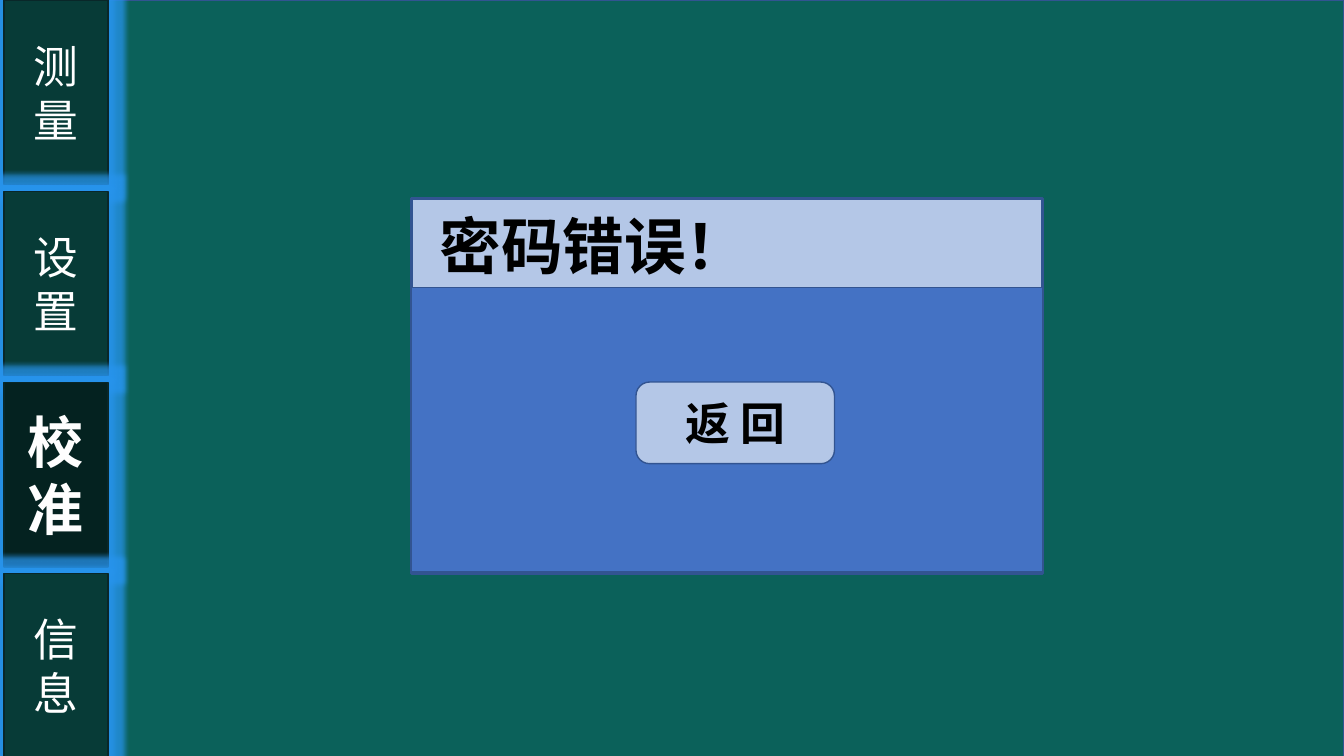
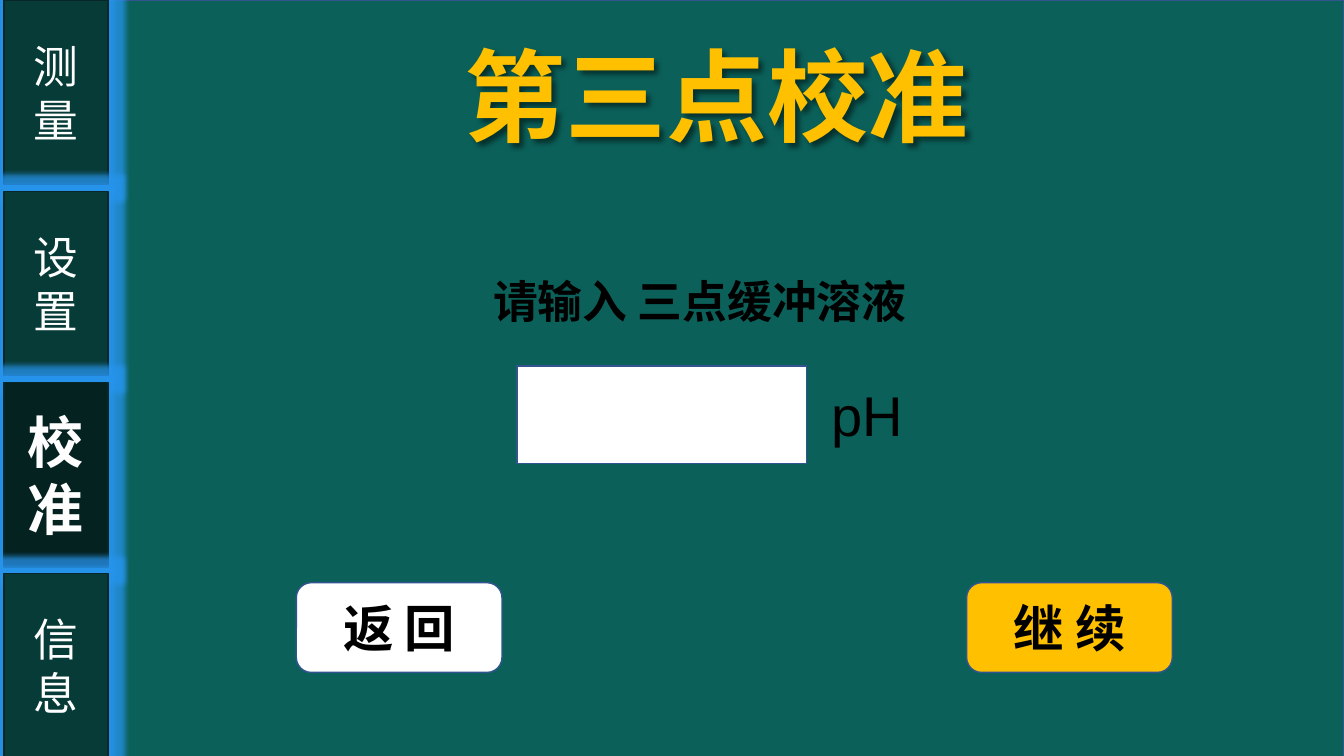
from dataclasses import dataclass
from typing import NamedTuple

from lxml import etree
from pptx import Presentation
from pptx.dml.color import RGBColor
from pptx.enum.shapes import MSO_SHAPE
from pptx.enum.text import MSO_ANCHOR, MSO_AUTO_SIZE, PP_ALIGN
from pptx.oxml.ns import qn
from pptx.shapes.autoshape import Shape
from pptx.slide import Slide
from pptx.util import Pt

RECTANGLE = MSO_SHAPE.RECTANGLE
ROUNDED = MSO_SHAPE.ROUNDED_RECTANGLE
MIDDLE = MSO_ANCHOR.MIDDLE
NO_AUTOFIT = MSO_AUTO_SIZE.NONE
LEFT = PP_ALIGN.LEFT
CENTER = PP_ALIGN.CENTER
TITLE_ONLY = 5


@dataclass(frozen=True)
class Theme:
    """Colours, fonts and type sizes shared by the slides."""

    page: str = "0B615A"
    border: str = "325491"
    tab: str = "073B37"
    tab_active: str = "042220"
    tab_border: str = "092729"
    glow: str = "2895EE"
    pale: str = "B4C7E7"
    blue: str = "4472C4"
    gold: str = "FFC000"
    white: str = "FFFFFF"
    active_text: str = "FEFEFE"
    black: str = "000000"
    heading_font: str = "Noto Sans CJK SC"
    tab_font: str = "Calibri"
    unit_font: str = "Arial"
    body_size: float = 32
    button_size: float = 36
    large_size: float = 40
    alert_size: float = 44
    title_size: float = 72


THEME = Theme()


class Box(NamedTuple):
    """Left, top, width and height in points."""

    left: float
    top: float
    width: float
    height: float


class Tab(NamedTuple):
    """One entry of the side menu."""

    label: str
    active: bool = False


class Button(NamedTuple):
    """A rounded button with its label."""

    label: str
    box: Box
    fill: str
    size: float


TABS = (Tab("测\n量"), Tab("设置"), Tab("校\n准", active=True), Tab("信\n息"))
TAB_BOX = Box(2.9, 0, 74.2, 131.8)
TAB_PITCH = 136.6
PAGE_BOX = Box(0, 0, 960, 541.4)


def add_effect(parent: etree.ElementBase, kind: str, color: str, alpha: int,
               **attributes: str) -> None:
    """Append a coloured, translucent effect to an effect list."""
    effect = etree.SubElement(parent, qn(f"a:{kind}"), attributes)
    tint = etree.SubElement(effect, qn("a:srgbClr"), val=color)
    etree.SubElement(tint, qn("a:alpha"), val=str(alpha * 1000))


def add_shadow(parent: etree.ElementBase, color: str, blur: float,
               distance: float, alpha: int) -> None:
    """Append a shadow that falls to the lower right."""
    add_effect(parent, "outerShdw", color, alpha, blurRad=str(Pt(blur)),
               dist=str(Pt(distance)), dir="2700000", algn="tl")


def put_text(shape: Shape, text: str, *, size: float = THEME.body_size,
             font: str = THEME.heading_font, color: str = THEME.black,
             bold: bool = True, align: PP_ALIGN = CENTER) -> None:
    """Write one paragraph per line of text in the given format."""
    frame = shape.text_frame
    frame.word_wrap = True
    frame.auto_size = NO_AUTOFIT
    frame.vertical_anchor = MIDDLE
    for index, line in enumerate(text.split("\n")):
        paragraph = frame.add_paragraph() if index else frame.paragraphs[0]
        paragraph.alignment = align
        run = paragraph.add_run()
        run.text = line
        run.font.size = Pt(size)
        run.font.bold = bold
        run.font.name = font
        run.font.color.rgb = RGBColor.from_string(color)
        latin = run.font._element.find(qn("a:latin"))
        latin.addnext(latin.makeelement(qn("a:ea"), {"typeface": font}))


def place(shape: Shape, box: Box) -> None:
    """Move and size a shape."""
    shape.left, shape.top, shape.width, shape.height = map(Pt, box)


def add_panel(slide: Slide, box: Box, fill: str, *, border: str = THEME.border,
              border_width: float = 1,
              kind: MSO_SHAPE = RECTANGLE) -> Shape:
    """Add a filled, outlined shape without a shadow."""
    shape = slide.shapes.add_shape(kind, *map(Pt, box))
    shape.shadow.inherit = False
    shape.fill.solid()
    shape.fill.fore_color.rgb = RGBColor.from_string(fill)
    shape.line.color.rgb = RGBColor.from_string(border)
    shape.line.width = Pt(border_width)
    return shape


def add_label(slide: Slide, box: Box, text: str, **text_format) -> None:
    """Add a text box."""
    put_text(slide.shapes.add_textbox(*map(Pt, box)), text, **text_format)


def add_title(slide: Slide, box: Box, text: str, *, shadow: bool = False,
              **text_format) -> None:
    """Format the title placeholder and bring it to the front."""
    title = slide.shapes.title
    place(title, box)
    title.fill.background()
    title.shadow.inherit = False
    put_text(title, text, **text_format)
    if shadow:
        effects = title._element.spPr.find(qn("a:effectLst"))
        add_shadow(effects, THEME.black, 4, 3, 50)
    title._element.getparent().append(title._element)


def add_button(slide: Slide, button: Button) -> None:
    """Add a rounded button."""
    shape = add_panel(slide, button.box, button.fill, kind=ROUNDED)
    put_text(shape, button.label, size=button.size)


def emphasize(shape: Shape) -> None:
    """Outline, space and shade the text of the active tab."""
    for paragraph in shape.text_frame.paragraphs:
        for run in paragraph.runs:
            properties = run.font._element
            properties.set("spc", "50")
            outline = properties.makeelement(qn("a:ln"), {"w": str(Pt(0.75))})
            properties.insert(0, outline)
            fill = etree.SubElement(outline, qn("a:solidFill"))
            etree.SubElement(fill, qn("a:srgbClr"), val=THEME.blue)
            effects = properties.makeelement(qn("a:effectLst"), {})
            properties.find(qn("a:solidFill")).addnext(effects)
            add_shadow(effects, THEME.blue, 0, 2, 60)


def add_tab(slide: Slide, tab: Tab, index: int) -> None:
    """Add one glowing tab of the side menu."""
    box = TAB_BOX._replace(top=TAB_BOX.top + index * TAB_PITCH)
    shape = add_panel(slide, box, THEME.tab_active if tab.active else THEME.tab,
                      border=THEME.tab_border)
    effects = shape._element.spPr.find(qn("a:effectLst"))
    add_effect(effects, "glow", THEME.glow, 75, rad=str(Pt(8)))
    put_text(shape, tab.label, font=THEME.tab_font, bold=tab.active,
             size=THEME.large_size if tab.active else THEME.body_size,
             color=THEME.active_text if tab.active else THEME.white)
    if tab.active:
        emphasize(shape)


def add_screen(presentation: Presentation) -> Slide:
    """Add a slide with the page colour and the side menu."""
    slide = presentation.slides.add_slide(presentation.slide_layouts[TITLE_ONLY])
    add_panel(slide, PAGE_BOX, THEME.page)
    for index, tab in enumerate(TABS):
        add_tab(slide, tab, index)
    return slide


def build_password_error(presentation: Presentation) -> None:
    """Build the wrong-password dialog."""
    slide = add_screen(presentation)
    add_panel(slide, Box(293.8, 141.8, 450.7, 267.8), THEME.pale,
              border_width=2.25)
    add_panel(slide, Box(293.8, 205.2, 450.7, 203), THEME.blue)
    add_title(slide, Box(306.7, 144.7, 278.6, 60.5), "密码错误！",
              size=THEME.alert_size, align=LEFT)
    add_button(slide, Button("返 回", Box(454.3, 272.9, 141.8, 58.3),
                             THEME.pale, THEME.body_size))


def build_third_point(presentation: Presentation) -> None:
    """Build the third calibration point screen."""
    slide = add_screen(presentation)
    add_title(slide, Box(292.3, 20.3, 439.2, 94.3), "第三点校准", shadow=True,
              size=THEME.title_size, color=THEME.gold)
    button_box = Box(211.7, 416.2, 146.9, 64.1)
    for button in (
        Button("继 续", button_box._replace(left=690.5), THEME.gold,
               THEME.button_size),
        Button("返 回", button_box, THEME.white, THEME.button_size),
    ):
        add_button(slide, button)
    add_label(slide, Box(216.7, 191.5, 566.6, 46.1), "请输入 三点缓冲溶液")
    add_panel(slide, Box(369.4, 261.4, 206.6, 69.8), THEME.white)
    add_label(slide, Box(586.8, 267.8, 87.8, 55.4), "pH", bold=False,
              font=THEME.unit_font, size=THEME.large_size, align=LEFT)


def main() -> None:
    """Build and save the presentation."""
    presentation = Presentation()
    presentation.slide_width, presentation.slide_height = Pt(960), Pt(540)
    build_password_error(presentation)
    build_third_point(presentation)
    presentation.save("out.pptx")


main()
